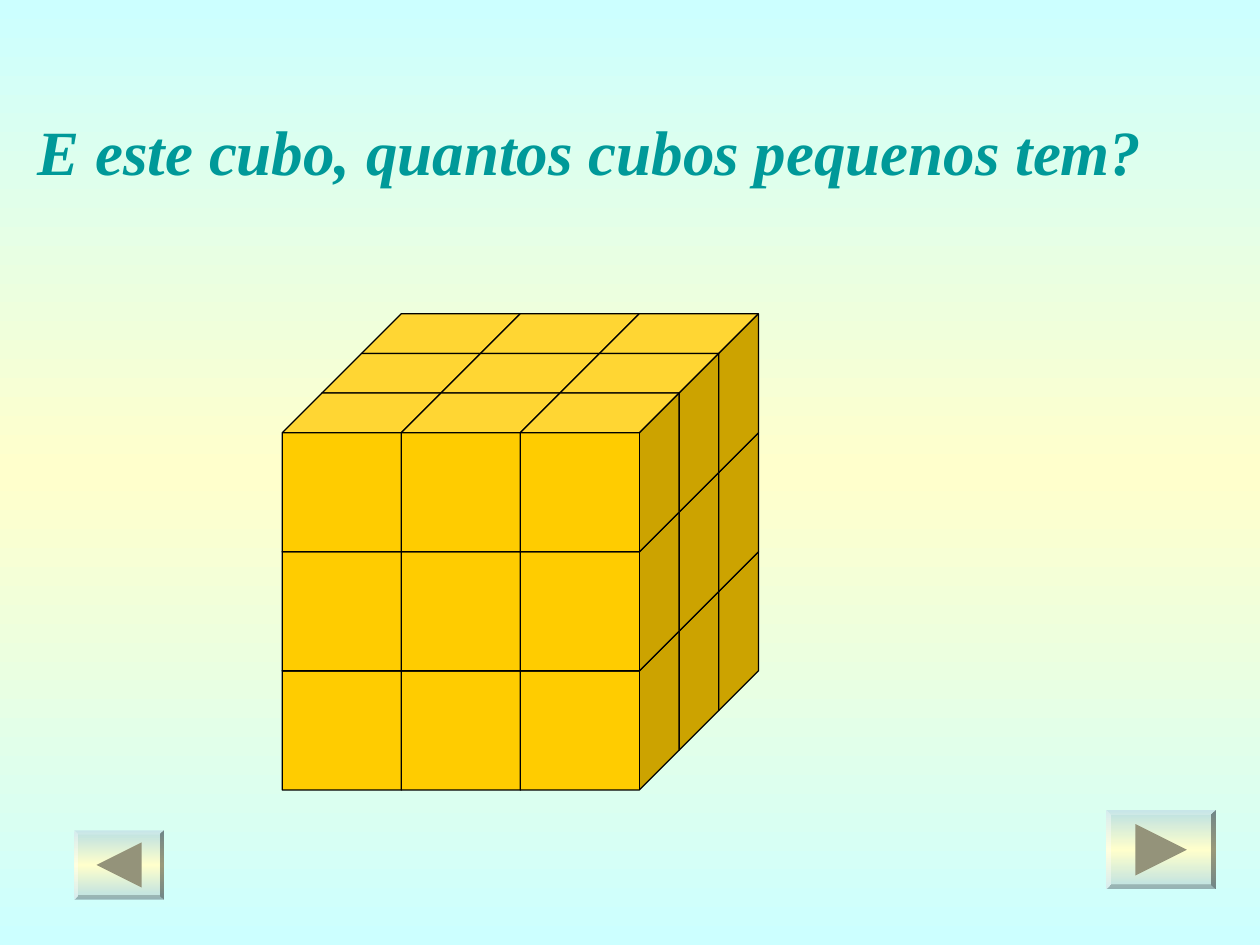
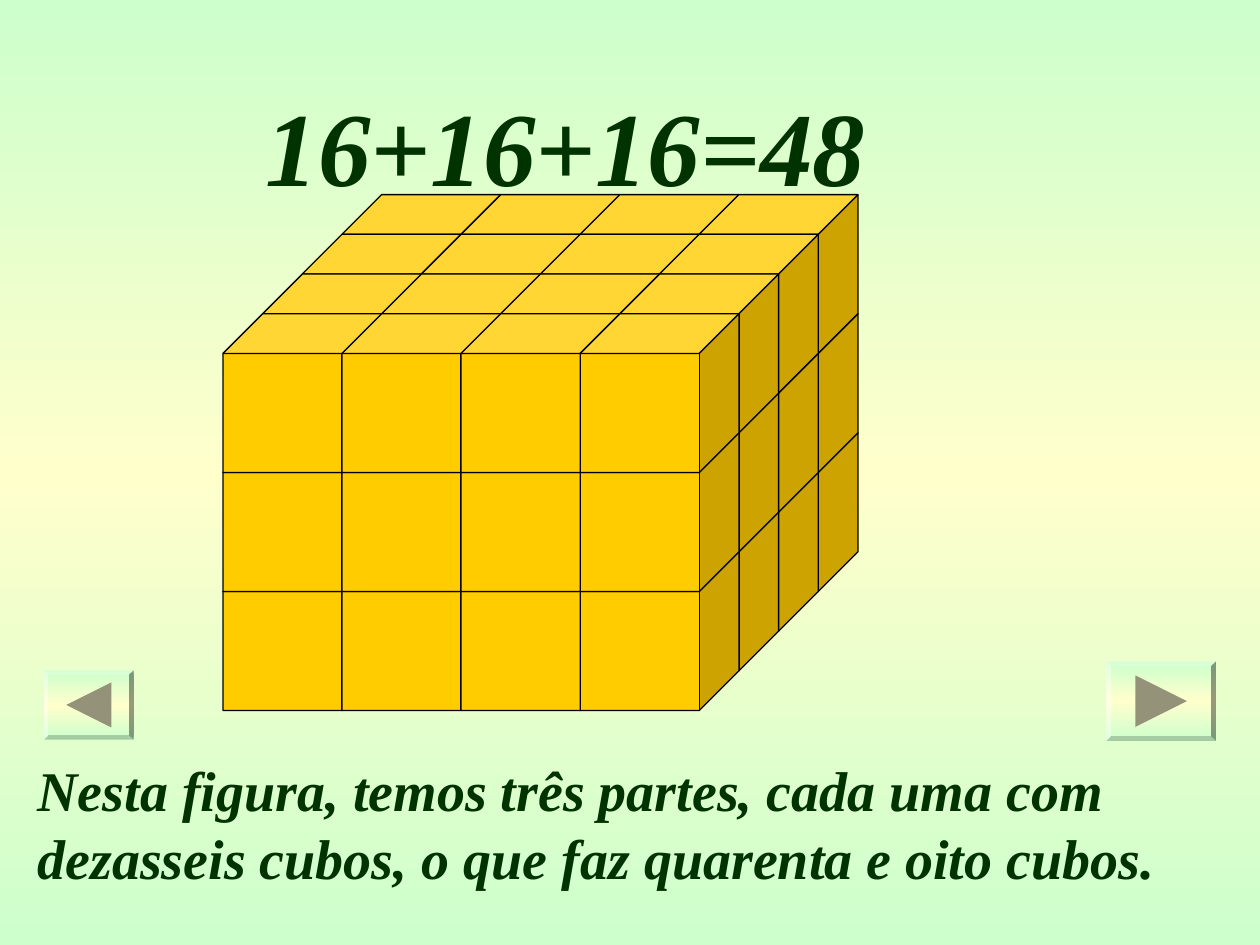
from copy import deepcopy
from dataclasses import dataclass
from itertools import product

from pptx import Presentation
from pptx.dml.color import RGBColor as Rgb
from pptx.dml.fill import FillFormat as Fill
from pptx.enum.shapes import MSO_SHAPE as Kind
from pptx.enum.text import MSO_ANCHOR as Anchor, MSO_AUTO_SIZE as Fit, PP_ALIGN as Align
from pptx.oxml.ns import qn
from pptx.shapes.base import BaseShape as Shape
from pptx.slide import Slide
from pptx.util import Inches, Pt

FONT = "Times New Roman"
CREAM, GOLD, BLACK, OLIVE = "FFFFCC", "FFCC00", "000000", "94937A"
AQUA, MINT, MIST, TEAL, PINE = "CCFFFF", "CCFFCC", "BBE0E3", "009999", "003300"
UNIT, SLANT = 1.26, 0.25


@dataclass
class Box:
    left: float
    top: float
    width: float
    height: float

    def place(self) -> list[int]:
        return [Inches(n) for n in (self.left, self.top, self.width, self.height)]


@dataclass
class Stack:
    left: float
    top: float
    cols: int
    rows: int
    tiers: int
    bare: int = 0


@dataclass
class Button:
    box: Box
    tint: str
    turn: int


def color(code: str) -> Rgb:
    return Rgb.from_string(code)


def blend(fill: Fill, root, edge: str) -> None:
    fill.gradient()
    fill.gradient_angle = 90
    stops = root.find(".//" + qn("a:gsLst"))
    stops.append(deepcopy(stops[0]))
    for stop, code, pos in zip(fill.gradient_stops, (edge, CREAM, edge), (0, 0.5, 1)):
        stop.color.rgb = color(code)
        stop.position = pos


def write(shape: Shape, text: str, *, box: Box, size: int, ink: str) -> None:
    shape.left, shape.top, shape.width, shape.height = box.place()
    frame = shape.text_frame
    frame.word_wrap = True
    frame.auto_size = Fit.NONE
    frame.vertical_anchor = Anchor.TOP
    frame.margin_left = frame.margin_right = Inches(0.1)
    frame.margin_top = frame.margin_bottom = Inches(0.05)
    frame.text = text
    para = frame.paragraphs[0]
    para.alignment = Align.LEFT
    font = para.runs[0].font
    font.name, font.size = FONT, Pt(size)
    font.bold = font.italic = True
    font.color.rgb = color(ink)


def build(slide: Slide, stack: Stack) -> None:
    group = slide.shapes.add_group_shape()
    depth = UNIT * SLANT
    face = UNIT - depth
    tiers, rows = reversed(range(stack.tiers)), reversed(range(stack.rows))
    for tier, row, col in product(tiers, rows, range(stack.cols)):
        if tier > 0 and row == stack.rows - 1 and col < stack.bare:
            continue
        left = stack.left + col * face + row * depth
        top = stack.top + tier * face - row * depth
        cube = group.shapes.add_shape(Kind.CUBE, *Box(left, top, UNIT, UNIT).place())
        cube.adjustments[0] = SLANT
        cube.shadow.inherit = False
        cube.fill.solid()
        cube.fill.fore_color.rgb = color(GOLD)
        cube.line.color.rgb = color(BLACK)
        cube.line.width = Pt(0.75)


def press(slide: Slide, button: Button) -> None:
    box = button.box
    plate = slide.shapes.add_shape(Kind.BEVEL, *box.place())
    plate.adjustments[0] = 0.06
    blend(plate.fill, plate._element, button.tint)
    side = box.height * 0.65
    left = box.left + (box.width - side) / 2
    top = box.top + (box.height - side) / 2
    arrow = slide.shapes.add_shape(Kind.ISOSCELES_TRIANGLE, *Box(left, top, side, side).place())
    arrow.rotation = button.turn
    arrow.fill.solid()
    arrow.fill.fore_color.rgb = color(OLIVE)
    for shape in (plate, arrow):
        shape.shadow.inherit = False
        shape.line.fill.background()


def start(deck, edge: str, stack: Stack, buttons: list[Button]) -> Slide:
    slide = deck.slides.add_slide(deck.slide_layouts[5])
    blend(slide.background.fill, slide._element, edge)
    build(slide, stack)
    for button in buttons:
        press(slide, button)
    return slide


def main() -> None:
    """Build the two cube-counting slides and save them."""
    deck = Presentation()
    deck.slide_width, deck.slide_height = Inches(10), Inches(7.5)

    ask = start(deck, AQUA, Stack(2.24, 3.12, cols=3, rows=3, tiers=3), [
        Button(Box(8.78, 6.43, 0.87, 0.63), MIST, 90),
        Button(Box(0.59, 6.59, 0.71, 0.55), MIST, 270),
    ])
    write(ask.shapes.title, "E este cubo, quantos cubos pequenos tem?",
          box=Box(0.2, 0.84, 9.45, 0.7), size=36, ink=TEAL)

    reply = start(deck, MINT, Stack(1.77, 2.49, cols=4, rows=4, tiers=3, bare=3), [
        Button(Box(8.78, 5.25, 0.87, 0.63), MINT, 90),
        Button(Box(0.35, 5.32, 0.71, 0.55), MINT, 270),
    ])
    write(reply.shapes.title, "16+16+16=48",
          box=Box(2.01, 0.6, 5.99, 1.1), size=60, ink=PINE)
    note = "Nesta figura, temos três partes, cada uma com dezasseis cubos, o que faz quarenta e oito cubos."
    area = Box(0.2, 5.95, 9.53, 1.17)
    write(reply.shapes.add_textbox(*area.place()), note, box=area, size=32, ink=PINE)

    deck.save("out.pptx")


if __name__ == "__main__":
    main()
